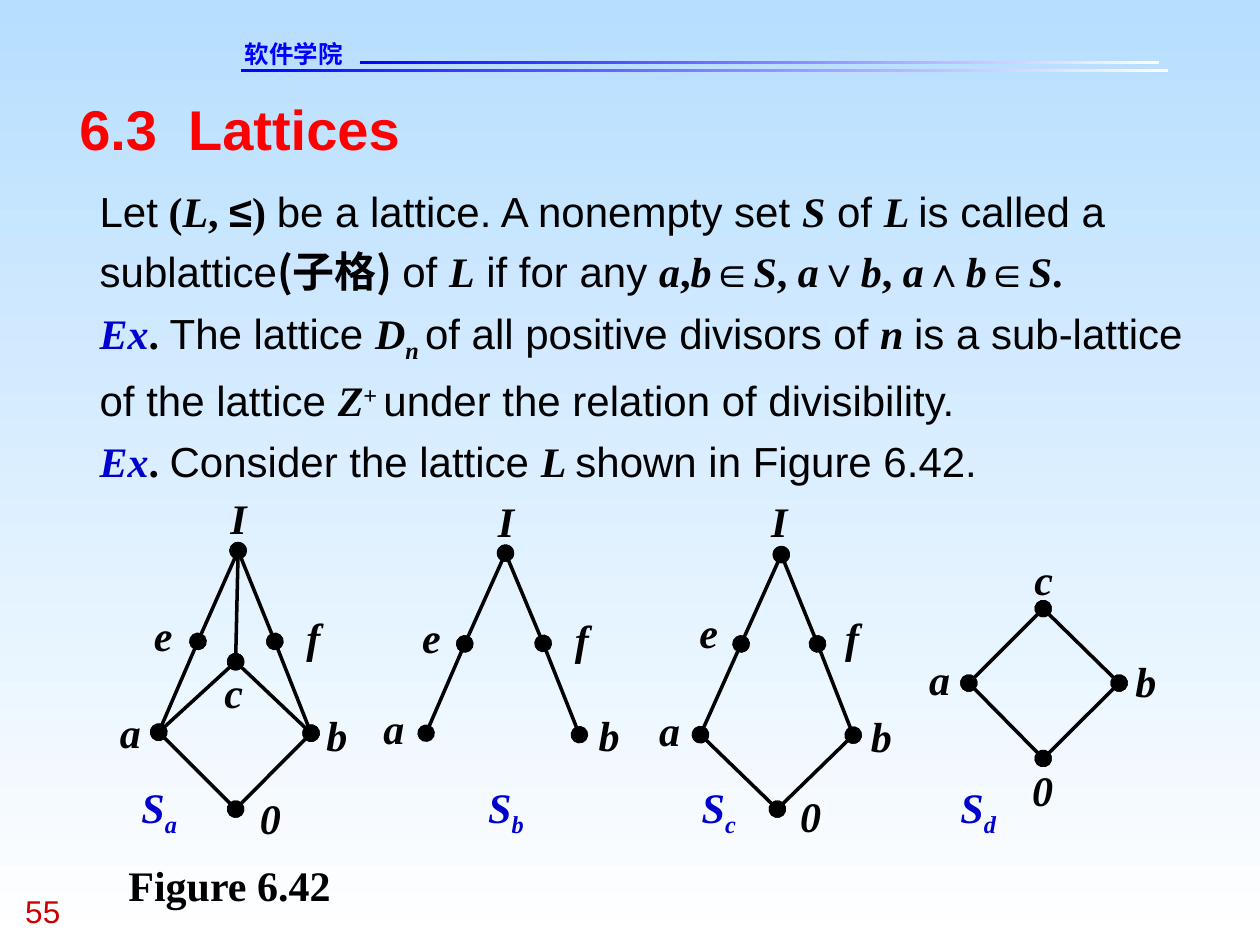
from lxml import etree
from pptx import Presentation
from pptx import util as u
from pptx.dml.color import RGBColor
from pptx.enum import shapes, text
from pptx.oxml import ns

BLACK = RGBColor(0x00, 0x00, 0x00)
WHITE = RGBColor(0xFF, 0xFF, 0xFF)
SKY = RGBColor(0xB7, 0xDE, 0xFF)
BLUE = RGBColor(0x00, 0x00, 0xFF)
DARK_BLUE = RGBColor(0x00, 0x00, 0xCC)
RED = RGBColor(0xFF, 0x00, 0x00)
DARK_RED = RGBColor(0xCC, 0x00, 0x00)

SANS, SERIF = "Arial", "Times New Roman"
CJK = "Noto Sans CJK SC"

# style: (font, bold, italic, colour, baseline)
RUN_STYLES = {
    "plain": (SANS, False, False, BLACK, 0),
    "symbol": (SANS, True, False, BLACK, 0),
    "bold": (SERIF, True, False, BLACK, 0),
    "math": (SERIF, True, True, BLACK, 0),
    "sub": (SERIF, True, True, BLACK, -25000),
    "sup": (SERIF, True, False, BLACK, 30000),
    "cjk": (CJK, True, False, BLACK, 0),
    "example": (SERIF, True, True, DARK_BLUE, 0),
    "example sub": (SERIF, True, True, DARK_BLUE, -25000),
}

BODY = [
    [("Let", "plain"), (" (", "bold"), ("L", "math"), (", ", "bold"), ("≤", "symbol"),
     (") ", "bold"), ("be a lattice. A nonempty set ", "plain"), ("S", "math"),
     (" of ", "plain"), ("L ", "math"), ("is called a sublattice", "plain"),
     ("(子格) ", "cjk"), ("of ", "plain"), ("L", "math"), (" if for any ", "plain"),
     ("a", "math"), (",", "bold"), ("b", "math"), ("∈", "symbol"), ("S", "math"),
     (", ", "bold"), ("a", "math"), ("∨", "symbol"), ("b", "math"), (", ", "bold"),
     ("a", "math"), ("∧", "symbol"), ("b", "math"), ("∈", "symbol"), ("S", "math"),
     (".", "bold")],
    [("Ex", "example"), (". ", "bold"), ("The lattice ", "plain"), ("D", "math"),
     ("n ", "sub"), ("of all positive divisors of ", "plain"), ("n ", "math"),
     ("is a sub-lattice of the lattice ", "plain"), ("Z", "math"), ("+ ", "sup"),
     ("under the relation of divisibility.", "plain")],
    [("Ex", "example"), (". ", "bold"), ("Consider the lattice ", "plain"),
     ("L ", "math"), ("shown in Figure 6.42.", "plain")],
]

# Each diagram: subscript, caption left, edges, and
# element: (node x, node y, label centre x, label top), all in cm
DIAGRAMS = [
    ("a", 2.79, "ae eI bf fI ac bc cI 0a 0b", {
        "I": (4.8, 11.1, 4.81, 9.93), "e": (3.99, 12.93, 3.29, 12.29),
        "f": (5.54, 12.93, 6.32, 12.32), "c": (4.75, 13.34, 4.71, 13.44),
        "a": (3.2, 14.76, 2.63, 14.25), "b": (6.27, 14.78, 6.79, 14.3),
        "0": (4.75, 16.31, 5.45, 15.98)}),
    ("b", 9.78, "ae eI bf fI", {
        "I": (10.19, 11.15, 10.2, 9.98), "e": (9.37, 12.98, 8.7, 12.32),
        "f": (10.95, 12.97, 11.73, 12.37), "a": (8.59, 14.78, 7.94, 14.17),
        "b": (11.68, 14.81, 12.28, 14.3)}),
    ("c", 14.07, "ae eI bf fI 0a 0b", {
        "I": (15.75, 11.18, 15.71, 9.98), "e": (14.94, 12.98, 14.29, 12.22),
        "f": (16.48, 12.98, 17.18, 12.32), "a": (14.12, 14.81, 13.5, 14.2),
        "b": (17.2, 14.82, 17.77, 14.33), "0": (15.67, 16.31, 16.34, 15.93)}),
    ("d", 19.3, "ac bc 0a 0b", {
        "c": (21.03, 12.27, 21.04, 11.15), "a": (19.53, 13.77, 18.94, 13.18),
        "b": (22.56, 13.77, 23.1, 13.21), "0": (21.03, 15.29, 21.02, 15.42)}),
]


def fade(fill, start, end, angle):
    """Two-colour linear gradient; the angle runs counter-clockwise."""
    fill.gradient()
    fill.gradient_angle = angle
    for stop, colour in zip(fill.gradient_stops, (start, end)):
        stop.color.rgb = colour


class LatticeSlide:
    text_size = u.Pt(24)
    edge_width = u.Pt(2)
    label_width, label_height = 0.43, 1.02

    def __init__(self, slide):
        self.slide = slide
        fade(slide.background.fill, SKY, WHITE, 270)

    def rule(self, left, top, width):
        bar = self.slide.shapes.add_shape(
            shapes.MSO_SHAPE.RECTANGLE, u.Cm(left), u.Cm(top), u.Cm(width), u.Cm(0.06))
        bar.shadow.inherit = False
        bar.line.fill.background()
        fade(bar.fill, BLUE, WHITE, 0)

    def frame(self, left, top, width, height, wrap=True):
        box = self.slide.shapes.add_textbox(
            u.Cm(left), u.Cm(top), u.Cm(width), u.Cm(height))
        frame = box.text_frame
        frame.word_wrap = wrap
        frame.margin_left = frame.margin_right = 0
        frame.margin_top = frame.margin_bottom = 0
        return frame

    def line_of_text(self, words, place, font, colour, size=None, bold=True,
                     italic=False, align=text.PP_ALIGN.LEFT, wrap=True):
        paragraph = self.frame(*place, wrap=wrap).paragraphs[0]
        paragraph.text = words
        paragraph.alignment = align
        style = paragraph.font
        style.name, style.size = font, size or self.text_size
        style.bold, style.italic = bold, italic
        style.color.rgb = colour

    def rich_text(self, paragraphs, place, spacing=1.0, align=text.PP_ALIGN.LEFT):
        frame = self.frame(*place)
        for index, pieces in enumerate(paragraphs):
            paragraph = frame.add_paragraph() if index else frame.paragraphs[0]
            paragraph.line_spacing = spacing
            paragraph.alignment = align
            paragraph.font.size = self.text_size
            for words, style in pieces:
                self.run(paragraph, words, style)

    def run(self, paragraph, words, style):
        run = paragraph.add_run()
        run.text = words
        font, bold, italic, colour, baseline = RUN_STYLES[style]
        run.font.name, run.font.bold, run.font.italic = font, bold, italic
        run.font.color.rgb = colour
        properties = run.font._element
        if baseline:
            properties.set("baseline", str(baseline))
        if font == CJK:
            etree.SubElement(properties, ns.qn("a:ea"), typeface=font)

    def edge(self, start, end):
        """Line with a round node at both ends."""
        edge = self.slide.shapes.add_connector(
            shapes.MSO_CONNECTOR.STRAIGHT, *map(u.Cm, start + end))
        edge.line.color.rgb = BLACK
        edge.line.width = self.edge_width
        properties = edge._element.spPr
        outline = properties.find(ns.qn("a:ln"))
        for tip in ("a:headEnd", "a:tailEnd"):
            etree.SubElement(outline, ns.qn(tip), type="oval", w="lg", len="lg")
        etree.SubElement(properties, ns.qn("a:effectLst"))

    def diagram(self, subscript, caption_left, edges, elements):
        for lower, upper in edges.split():
            self.edge(elements[lower][:2], elements[upper][:2])
        for name, (_, _, centre, top) in elements.items():
            place = (centre - self.label_width / 2, top, self.label_width, self.label_height)
            self.line_of_text(name, place, SERIF, BLACK, italic=True,
                              align=text.PP_ALIGN.CENTER, wrap=False)
        self.rich_text([[("S", "example"), (subscript, "example sub")]],
                       (caption_left, 15.75, 0.84, 1.17), align=text.PP_ALIGN.CENTER)


def main():
    deck = Presentation()
    deck.slide_width, deck.slide_height = u.Cm(25.4), u.Cm(19.05)
    page = LatticeSlide(deck.slides.add_slide(deck.slide_layouts[6]))

    page.rule(4.85, 1.4, 18.69)
    page.rule(7.26, 1.24, 16.1)
    page.line_of_text("软件学院", (4.93, 0.79, 3.68, 0.58), "DejaVu Sans", BLUE, u.Pt(14))
    page.line_of_text("55", (0.51, 17.98, 1.9, 0.76), SANS, DARK_RED, u.Pt(18), bold=False)
    page.line_of_text("6.3  Lattices", (1.6, 1.9, 22.22, 1.35), SANS, RED, u.Pt(32))
    page.rich_text(BODY, (2.01, 3.53, 22.25, 6.27), spacing=1.2)
    for diagram in DIAGRAMS:
        page.diagram(*diagram)
    page.line_of_text("Figure 6.42", (2.59, 17.33, 4.09, 1.02), SERIF, BLACK, wrap=False)

    deck.save("out.pptx")


if __name__ == "__main__":
    main()
